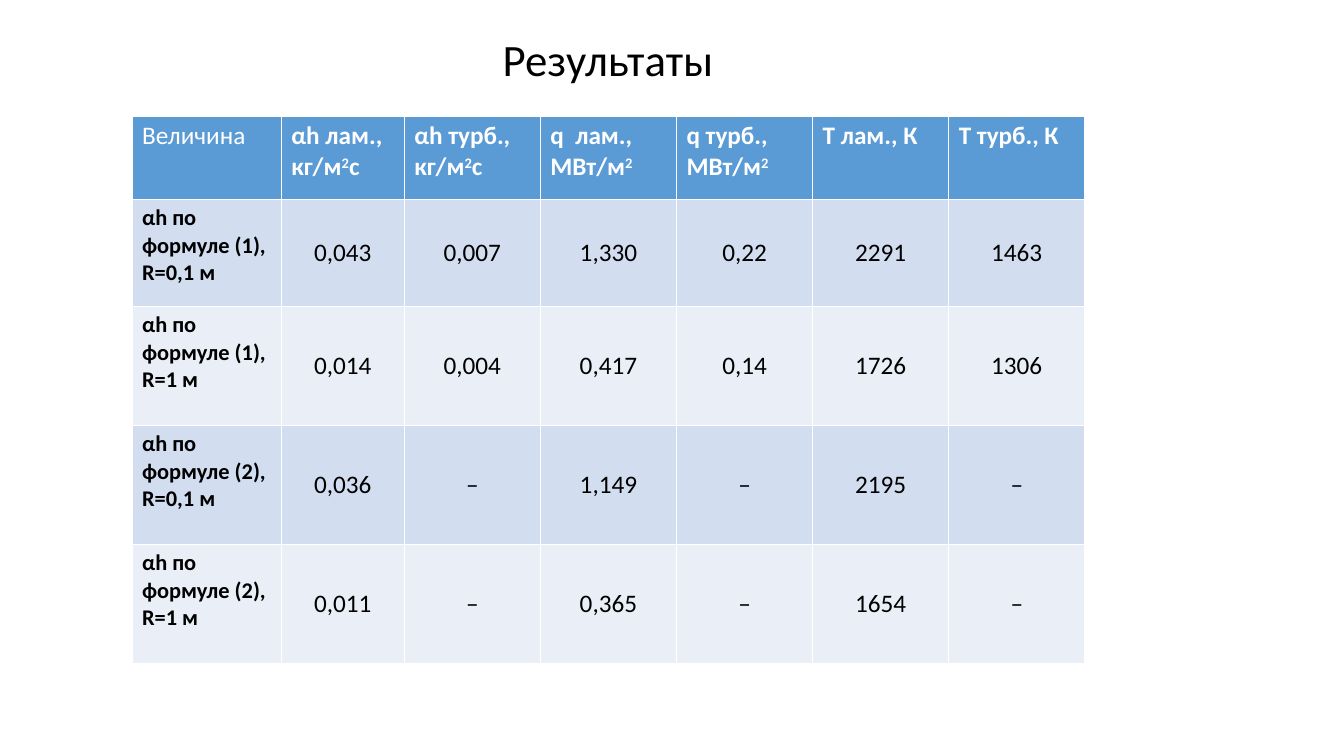
from lxml.etree import SubElement
from pptx import Presentation
from pptx.dml.color import RGBColor
from pptx.enum.text import MSO_ANCHOR, PP_ALIGN
from pptx.oxml.ns import qn
from pptx.util import Inches, Pt


def color(hex_string):
    return RGBColor.from_string(hex_string)


def write(frame, text, size=18, bold=False, fill="000000", align=PP_ALIGN.LEFT, spacing=None):
    """Write one paragraph; text between ^ marks is superscript."""
    paragraph = frame.paragraphs[0]
    paragraph.alignment = align
    paragraph.line_spacing = spacing
    for index, part in enumerate(text.split("^")):
        if not part:
            continue
        run = paragraph.add_run()
        run.text = part
        run.font.name = "Calibri"
        run.font.size = Pt(size)
        run.font.bold = bold
        run.font.color.rgb = color(fill)
        if index % 2:
            run._r.get_or_add_rPr().set("baseline", "30000")


presentation = Presentation()
presentation.slide_width = Inches(13.33)
presentation.slide_height = Inches(7.5)
slide = presentation.slides.add_slide(presentation.slide_layouts[6])

# Title
title = slide.shapes.add_textbox(Inches(3.3), Inches(0.3), Inches(5.46), Inches(0.63))
title.text_frame.word_wrap = True
title.text_frame.vertical_anchor = MSO_ANCHOR.MIDDLE
write(title.text_frame, "Результаты", size=32, align=PP_ALIGN.CENTER, spacing=0.9)

# Table content
results = [
    ["Величина", "αh лам., кг/м^2^с", "αh турб., кг/м^2^с", "q  лам., МВт/м^2^",
     "q турб., МВт/м^2^", "Т лам., К", "Т турб., К"],
    ["αh по формуле (1), R=0,1 м", "0,043", "0,007", "1,330", "0,22", "2291", "1463"],
    ["αh по формуле (1), R=1 м", "0,014", "0,004", "0,417", "0,14", "1726", "1306"],
    ["αh по формуле (2), R=0,1 м", "0,036", "–", "1,149", "–", "2195", "–"],
    ["αh по формуле (2), R=1 м", "0,011", "–", "0,365", "–", "1654", "–"],
]
column_widths = [1.48, 1.22] + [1.35] * 5
row_heights = [0.83, 1.06] + [1.18] * 3

# Table grid
table = slide.shapes.add_table(
    len(row_heights), len(column_widths), Inches(1.31), Inches(1.15),
    Inches(sum(column_widths)), Inches(sum(row_heights))).table
table.first_row = False
table.horz_banding = False
for column, width in zip(table.columns, column_widths):
    column.width = Inches(width)
for row, height in zip(table.rows, row_heights):
    row.height = Inches(height)

# Table cells
for row_index, values in enumerate(results):
    is_header = row_index == 0
    band = "5B9BD5" if is_header else ("EAEFF7", "D2DEEF")[row_index % 2]
    for column_index, value in enumerate(values):
        cell = table.cell(row_index, column_index)
        if is_header:
            write(cell.text_frame, value, bold=column_index > 0, fill="FFFFFF")
        elif column_index == 0:
            write(cell.text_frame, value, size=16, bold=True)
        else:
            write(cell.text_frame, value, align=PP_ALIGN.CENTER)
            cell.vertical_anchor = MSO_ANCHOR.MIDDLE

        # White borders come before the fill in the cell properties
        properties = cell._tc.get_or_add_tcPr()
        for side in ("a:lnL", "a:lnR", "a:lnT", "a:lnB"):
            border = SubElement(properties, qn(side), w=str(Pt(1)))
            line_fill = SubElement(border, qn("a:solidFill"))
            SubElement(line_fill, qn("a:srgbClr"), val="FFFFFF")
        cell.fill.solid()
        cell.fill.fore_color.rgb = color(band)

presentation.save("out.pptx")
